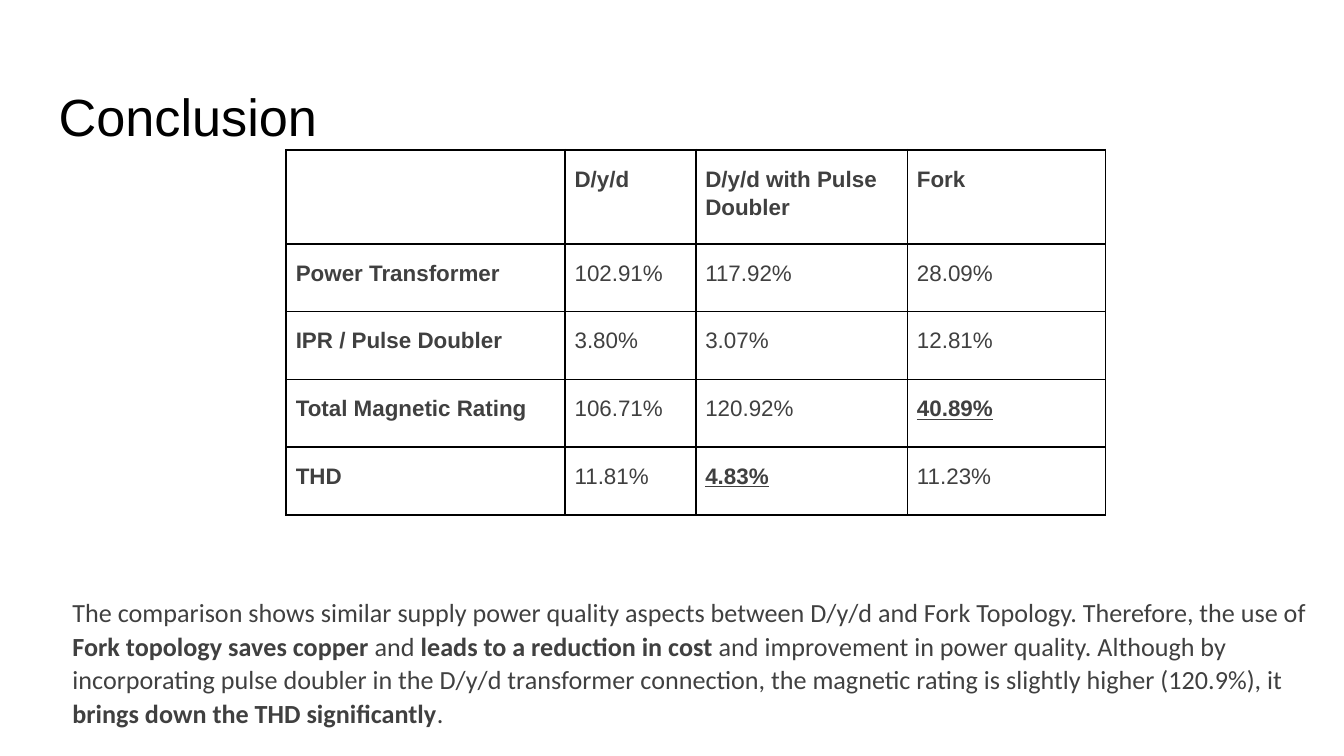
import pptx
import pptx.dml.color
import pptx.enum.text
import pptx.oxml
import pptx.oxml.ns
import pptx.util
from pptx.util import Cm, Pt

# Content: an asterisk marks the best value in a row
TITLE = "Conclusion"
ROWS = [
    ["", "D/y/d", "D/y/d with Pulse Doubler", "Fork"],
    ["Power Transformer", "102.91%", "117.92%", "28.09%"],
    ["IPR / Pulse Doubler", "3.80%", "3.07%", "12.81%"],
    ["Total Magnetic Rating", "106.71%", "120.92%", "*40.89%"],
    ["THD", "11.81%", "*4.83%", "11.23%"],
]
# Summary as (text, bold)
SUMMARY = [
    ("The comparison shows similar supply power quality aspects between D/y/d "
     "and Fork Topology. Therefore, the use of ", False),
    ("Fork topology saves copper", True),
    (" and ", False),
    ("leads to a reduction in cost", True),
    (" and improvement in power quality. Although by incorporating pulse doubler "
     "in the D/y/d transformer connection, the magnetic rating is slightly higher "
     "(120.9%), it ", False),
    ("brings down the THD significantly", True),
    (".", False),
]
COLUMN_WIDTHS = [5.27, 2.47, 4, 3.74]
ROW_HEIGHTS = [1.78] + [1.28] * 4
BLACK, GREY = "000000", "404040"


def color(value):
    return pptx.dml.color.RGBColor.from_string(value)


def set_font(font, name, size, value):
    font.name, font.size = name, Pt(size)
    font.color.rgb = color(value)


def add_box(page, left, top, width, height):
    frame = page.shapes.add_textbox(Cm(left), Cm(top), Cm(width), Cm(height)).text_frame
    frame.word_wrap = True
    frame.vertical_anchor = pptx.enum.text.MSO_ANCHOR.TOP
    frame.margin_left = frame.margin_right = Cm(0.25)
    frame.margin_top = frame.margin_bottom = Cm(0.25)
    return frame


def add_borders(cell):
    properties = cell._tc.get_or_add_tcPr()
    for index, side in enumerate(["lnL", "lnR", "lnT", "lnB"]):
        line = pptx.oxml.parse_xml(
            f'<a:{side} {pptx.oxml.ns.nsdecls("a")} w="{Pt(1)}"><a:solidFill>'
            f'<a:srgbClr val="{BLACK}"/></a:solidFill></a:{side}>')
        properties.insert(index, line)


def fill_cell(cell, text, is_label):
    cell.fill.background()
    add_borders(cell)
    cell.margin_left = cell.margin_right = Cm(0.18)
    cell.margin_top = cell.margin_bottom = Cm(0.25)
    is_best = text.startswith("*")
    para = cell.text_frame.paragraphs[0]
    para.text = text.lstrip("*")
    para.line_spacing, para.space_before = 1.15, Pt(12)
    set_font(para.font, "Arial", 12, GREY)
    para.font.bold = is_label or is_best
    para.font.underline = is_best


deck = pptx.Presentation()
deck.slide_width, deck.slide_height = Cm(25.4), Cm(14.29)
page = deck.slides.add_slide(deck.slide_layouts[6])

# Title
title = add_box(page, 0.86, 1.35, 23.67, 1.6).paragraphs[0]
title.text = TITLE
set_font(title.font, "Arial", 28, BLACK)

# Summary
summary = add_box(page, 1.12, 10.97, 24.05, 3.73).paragraphs[0]
summary.line_spacing = 1.08
set_font(summary.font, "Calibri", 14, GREY)
for text, bold in SUMMARY:
    span = summary.add_run()
    span.text, span.font.bold = text, bold

# Comparison table
table = page.shapes.add_table(
    len(ROWS), len(COLUMN_WIDTHS), Cm(5.41), Cm(2.83),
    Cm(sum(COLUMN_WIDTHS)), Cm(sum(ROW_HEIGHTS))).table
table.first_row = table.horz_banding = False
for column, width in zip(table.columns, COLUMN_WIDTHS):
    column.width = Cm(width)
for row, height in zip(table.rows, ROW_HEIGHTS):
    row.height = Cm(height)
for r, values in enumerate(ROWS):
    for c, value in enumerate(values):
        fill_cell(table.cell(r, c), value, r == 0 or c == 0)

deck.save("out.pptx")
